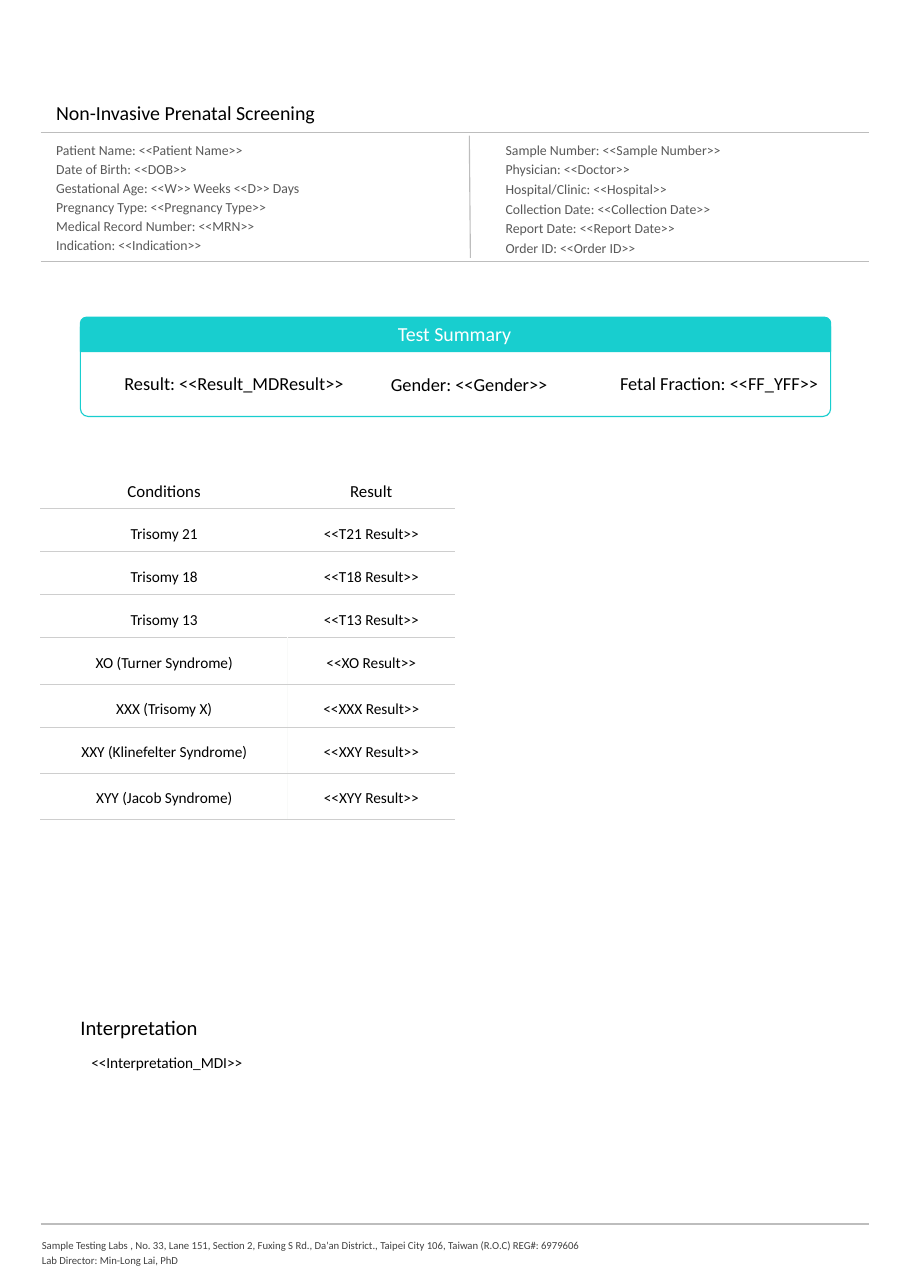
from lxml import etree
from pptx import Presentation
from pptx.dml.color import RGBColor
from pptx.enum.shapes import MSO_CONNECTOR, MSO_SHAPE
from pptx.enum.text import MSO_AUTO_SIZE, PP_ALIGN
from pptx.oxml.ns import qn
from pptx.util import Inches, Pt

STRAIGHT = MSO_CONNECTOR.STRAIGHT
ROUNDED = MSO_SHAPE.ROUNDED_RECTANGLE
ROUND_TOP = MSO_SHAPE.ROUND_2_SAME_RECTANGLE
FIT = MSO_AUTO_SIZE.SHAPE_TO_FIT_TEXT
LEFT, CENTER = PP_ALIGN.LEFT, PP_ALIGN.CENTER

BLACK = RGBColor(0x00, 0x00, 0x00)
WHITE = RGBColor(0xFF, 0xFF, 0xFF)
GRAY = RGBColor(0x59, 0x59, 0x59)
DARK = RGBColor(0x41, 0x41, 0x41)
RULE = RGBColor(0xBD, 0xBD, 0xBD)
GRID = RGBColor(0xCE, 0xCE, 0xCE)
FAINT = RGBColor(0xF9, 0xFA, 0xF9)
TEAL = RGBColor(0x18, 0xCE, 0xCF)

FLUSH = (0.01, 0.01, 0, 0)
PADDED = (0.1, 0.1, 0.1, 0.1)
NORMAL = (0.1, 0.05, 0.1, 0.05)


class Report:
    font = "Calibri"
    weight = Pt(0.75)

    def __init__(self, slide):
        self.s = slide

    def style(self, p, size, color, align=LEFT, spacing=None):
        p.alignment = align
        if spacing:
            p.line_spacing = spacing
        p.font.name = self.font
        p.font.size = Pt(size)
        p.font.color.rgb = color

    def text(self, box, lines, size, color=BLACK, insets=NORMAL, align=LEFT,
             spacing=None, gap=0, wrap=True):
        sp = self.s.shapes.add_textbox(*map(Inches, box))
        tf = sp.text_frame
        tf.word_wrap = wrap
        tf.auto_size = FIT
        (tf.margin_left, tf.margin_top,
         tf.margin_right, tf.margin_bottom) = map(Inches, insets)
        for i, line in enumerate(lines):
            p = tf.add_paragraph() if i else tf.paragraphs[0]
            p.text = line
            if i and gap:
                p.space_before = Pt(gap)
            self.style(p, size, color, align, spacing)

    def line(self, x1, y1, x2, y2):
        sp = self.s.shapes.add_connector(STRAIGHT, *map(Inches, (x1, y1, x2, y2)))
        sp.line.color.rgb = RULE
        sp.line.width = self.weight
        etree.SubElement(sp._element.spPr, qn("a:effectLst"))

    def panel(self, kind, box, radius, fill=None):
        sp = self.s.shapes.add_shape(kind, *map(Inches, box))
        sp.shadow.inherit = False
        sp.adjustments[0] = radius
        if fill is None:
            sp.fill.background()
        else:
            sp.fill.solid()
            sp.fill.fore_color.rgb = fill
        sp.line.color.rgb = TEAL
        sp.line.width = self.weight

    def borders(self, cell, **colors):
        tc_pr = cell._tc.get_or_add_tcPr()
        for i, (side, color) in enumerate(colors.items()):
            ln = etree.Element(qn("a:ln" + side), w=str(self.weight))
            fill = etree.SubElement(ln, qn("a:solidFill"))
            etree.SubElement(fill, qn("a:srgbClr"), val=str(color))
            tc_pr.insert(i, ln)

    def table(self, box, widths, heights, rows, faint_from):
        frame = self.s.shapes.add_table(len(rows), len(widths), *map(Inches, box))
        table = frame.table
        table.first_row = table.horz_banding = False
        for column, width in zip(table.columns, widths):
            column.width = Inches(width)
        for r, (values, height) in enumerate(zip(rows, heights)):
            table.rows[r].height = Inches(height)
            inner = FAINT if r >= faint_from else WHITE
            for c, value in enumerate(values):
                cell = table.cell(r, c)
                cell.margin_left = cell.margin_right = cell.margin_bottom = 0
                cell.margin_top = Inches(0.06 if r else 0.12)
                cell.fill.solid()
                cell.fill.fore_color.rgb = WHITE
                self.borders(cell, L=inner if c else WHITE, R=WHITE if c else inner,
                             T=GRID if r else WHITE, B=GRID)
                p = cell.text_frame.paragraphs[0]
                p.text = value
                self.style(p, 10 if r else 11, BLACK, CENTER, 1.5 if r else None)


def main():
    prs = Presentation()
    prs.slide_width, prs.slide_height = Inches(8.26), Inches(11.69)
    report = Report(prs.slides.add_slide(prs.slide_layouts[6]))

    report.text((0.5, 0.89, 3.74, 0.23), ["Non-Invasive Prenatal Screening"], 13,
                insets=(0.01, 0.02, 0, 0))
    for y in (1.2, 2.37, 11.11):
        report.line(0.37, y, 7.89, y)
    report.line(4.26, 1.23, 4.27, 2.34)

    patient = ["Patient Name: <<Patient Name>>", "Date of Birth: <<DOB>>",
               "Gestational Age: <<W>> Weeks <<D>> Days",
               "Pregnancy Type: <<Pregnancy Type>>",
               "Medical Record Number: <<MRN>>", "Indication: <<Indication>>"]
    sample = ["Sample Number: <<Sample Number>>", "Physician: <<Doctor>>",
              "Hospital/Clinic: <<Hospital>>", "Collection Date: <<Collection Date>>",
              "Report Date: <<Report Date>>", "Order ID: <<Order ID>>"]
    for x, lines, gap in ((0.5, patient, 0), (4.58, sample, 0.4)):
        report.text((x, 1.25, 3.13, 1.05), lines, 9, GRAY, FLUSH, spacing=1.15, gap=gap)

    report.panel(ROUNDED, (0.73, 2.9, 6.81, 0.88), 0.08)
    report.panel(ROUND_TOP, (0.73, 2.88, 6.81, 0.31), 0.17, TEAL)
    report.text((2.49, 2.82, 3.27, 0.42), ["Test Summary"], 13, WHITE, PADDED, CENTER)
    for x, y, width, label, wrap in (
            (1.03, 3.33, 2.32, "Result: <<Result_MDResult>>", True),
            (3.45, 3.34, 1.87, "Gender: <<Gender>>", True),
            (5.53, 3.33, 2.03, "Fetal Fraction: <<FF_YFF>>", False)):
        report.text((x, y, width, 0.3), [label], 12, wrap=wrap)

    conditions = [("Trisomy 21", "T21"), ("Trisomy 18", "T18"), ("Trisomy 13", "T13"),
                  ("XO (Turner Syndrome)", "XO"), ("XXX (Trisomy X)", "XXX"),
                  ("XXY (Klinefelter Syndrome)", "XXY"), ("XYY (Jacob Syndrome)", "XYY")]
    rows = [("Conditions", "Result")]
    rows += [(name, f"<<{code} Result>>") for name, code in conditions]
    report.table((0.37, 4.25, 3.76, 3.17), (2.24, 1.52),
                 (0.37, 0.39, 0.39, 0.39, 0.42, 0.39, 0.42, 0.42), rows, 4)

    report.text((0.73, 9.19, 1.28, 0.25), ["Interpretation"], 13.5, insets=(0, 0.02, 0, 0))
    report.text((0.73, 9.48, 6.81, 0.37), ["<<Interpretation_MDI>>"], 10, insets=PADDED)
    report.text((0.37, 11.21, 5.97, 0.46), [
        "Sample Testing Labs , No. 33, Lane 151, Section 2, Fuxing S Rd., "
        "Da'an District., Taipei City 106, Taiwan (R.O.C) REG#: 6979606",
        "Lab Director: Min-Long Lai, PhD"], 7, DARK, FLUSH, spacing=1.19)

    prs.save("out.pptx")


if __name__ == "__main__":
    main()
